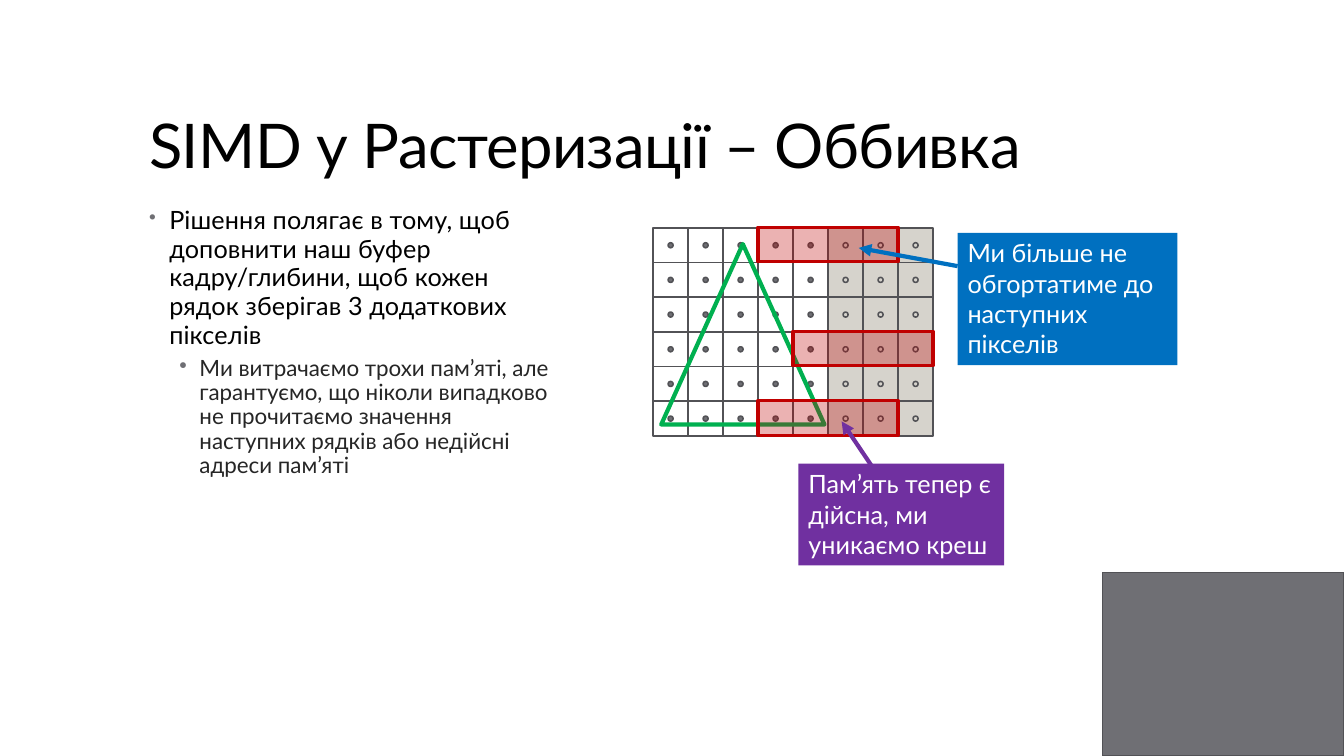
from collections import namedtuple
from dataclasses import dataclass

from lxml.etree import SubElement
from pptx import Presentation
from pptx.dml.color import RGBColor
from pptx.enum.shapes import MSO_CONNECTOR as Connector, MSO_SHAPE as Preset
from pptx.enum.text import MSO_ANCHOR as Anchor, PP_ALIGN as Align
from pptx.oxml.ns import qn
from pptx.util import Pt

Box = namedtuple("Box", "left top width height")


@dataclass(frozen=True)
class Theme:
    font: str = "Lato"
    title_size: float = 44
    body_size: float = 18
    detail_size: float = 16
    thin: float = 1.1
    medium: float = 2.25
    thick: float = 3
    black: str = "000000"
    detail: str = "262626"
    white: str = "FFFFFF"
    gray: str = "6F6F74"
    outline: str = "525256"
    padding: str = "D6D3CC"
    green: str = "00B050"
    red: str = "C00000"
    purple: str = "7030A0"
    blue: str = "0070C0"


THEME = Theme()


def color(value):
    return RGBColor.from_string(value)


def add_shape(slide, preset, box, fill=None, line=None, line_width=THEME.thin, alpha=None):
    shape = slide.shapes.add_shape(preset, *map(Pt, box))
    shape.shadow.inherit = False
    if fill:
        shape.fill.solid()
        shape.fill.fore_color.rgb = color(fill)
    else:
        shape.fill.background()
    if alpha:
        tint = shape.fill._xPr.find(".//" + qn("a:srgbClr"))
        SubElement(tint, qn("a:alpha")).set("val", str(alpha * 1000))
    if line:
        shape.line.color.rgb = color(line)
        shape.line.width = Pt(line_width)
    else:
        shape.line.fill.background()
    return shape


def format_runs(paragraph, size, ink, tracking=0):
    for run in paragraph.runs:
        run.font.name = THEME.font
        run.font.size = Pt(size)
        run.font.color.rgb = color(ink)
        run._r.get_or_add_rPr().set("spc", str(round(tracking * 100)))


def add_bullet(paragraph, indent, hanging, percent):
    properties = paragraph._p.get_or_add_pPr()
    properties.set("marL", str(Pt(indent)))
    properties.set("indent", str(Pt(-hanging)))
    bullet_color = SubElement(properties, qn("a:buClr"))
    SubElement(bullet_color, qn("a:srgbClr")).set("val", THEME.gray)
    SubElement(properties, qn("a:buSzPct")).set("val", str(percent * 1000))
    SubElement(properties, qn("a:buChar")).set("char", "•")


def add_title(slide, box, text):
    frame = slide.shapes.add_textbox(*map(Pt, box)).text_frame
    frame.word_wrap = True
    frame.vertical_anchor = Anchor.BOTTOM
    frame.text = text
    paragraph = frame.paragraphs[0]
    paragraph.line_spacing = 0.9
    format_runs(paragraph, THEME.title_size, THEME.black, -0.45)


def add_body(slide, box, solution, cost):
    frame = slide.shapes.add_textbox(*map(Pt, box)).text_frame
    frame.word_wrap = True
    frame.text = solution
    main_point = frame.paragraphs[0]
    add_bullet(main_point, 14.4, 14.4, 80)
    main_point.line_spacing = 0.95
    main_point.space_after = Pt(2)
    format_runs(main_point, THEME.body_size, THEME.black, 0.1)

    detail = frame.add_paragraph()
    detail.text = cost
    detail.level = 1
    add_bullet(detail, 36, 14.4, 100)
    detail.line_spacing = 0.9
    detail.space_before = detail.space_after = Pt(3)
    format_runs(detail, THEME.detail_size, THEME.detail)


def add_pixel_grid(slide, box, rows=6, columns=8, padding_columns=3):
    cell_width, cell_height = box.width / columns, box.height / rows
    dot = 3.6
    for row in range(rows):
        for column in range(columns):
            padded = column >= columns - padding_columns
            left = box.left + column * cell_width
            top = box.top + row * cell_height
            add_shape(slide, Preset.RECTANGLE, Box(left, top, cell_width, cell_height),
                      THEME.padding if padded else None, THEME.outline)
            dot_box = Box(left + (cell_width - dot) / 2, top + (cell_height - dot) / 2, dot, dot)
            add_shape(slide, Preset.OVAL, dot_box,
                      THEME.padding if padded else THEME.gray, THEME.outline)

    triangle = Box(box.left + 5.8, box.top + 11.5, 116.6, 128.9)
    add_shape(slide, Preset.ISOSCELES_TRIANGLE, triangle, line=THEME.green, line_width=THEME.thick)

    for row, first_column in ((0, 3), (5, 3), (3, 4)):
        lanes = Box(box.left + first_column * cell_width, box.top + row * cell_height - 0.5,
                    4 * cell_width, cell_height)
        add_shape(slide, Preset.RECTANGLE, lanes, THEME.red, THEME.red, THEME.medium, alpha=30)


def add_callout(slide, box, text, fill, start, end):
    frame = add_shape(slide, Preset.RECTANGLE, box, fill).text_frame
    frame.word_wrap = True
    frame.vertical_anchor = Anchor.TOP
    frame.text = text
    paragraph = frame.paragraphs[0]
    paragraph.alignment = Align.LEFT
    format_runs(paragraph, THEME.body_size, THEME.white)

    points = (box.left + start[0], box.top + start[1], box.left + end[0], box.top + end[1])
    arrow = slide.shapes.add_connector(Connector.STRAIGHT, *map(Pt, points))
    arrow.line.color.rgb = color(fill)
    arrow.line.width = Pt(THEME.thick)
    SubElement(arrow.line._get_or_add_ln(), qn("a:tailEnd")).set("type", "triangle")
    SubElement(arrow._element.spPr, qn("a:effectLst"))


def main():
    presentation = Presentation()
    presentation.slide_width, presentation.slide_height = Pt(960), Pt(540)
    slide = presentation.slides.add_slide(presentation.slide_layouts[6])
    add_shape(slide, Preset.RECTANGLE, Box(787.5, 409, 172.5, 131), THEME.gray, THEME.outline)
    add_title(slide, Box(99.4, 28.8, 763.2, 104.4), "SIMD у Растеризації – Оббивка")
    add_body(
        slide, Box(99.4, 144, 306, 342.7),
        "Рішення полягає в тому, щоб доповнити наш буфер кадру/глибини, "
        "щоб кожен рядок зберігав 3 додаткових пікселів",
        "Ми витрачаємо трохи пам’яті, але гарантуємо, що ніколи випадково "
        "не прочитаємо значення наступних рядків або недійсні адреси пам’яті",
    )
    add_pixel_grid(slide, Box(466.5, 162.8, 200, 148.6))
    add_callout(slide, Box(570.4, 331.2, 146.9, 72.7),
                "Пам’ять тепер є дійсна, ми уникаємо креш", THEME.purple,
                (53.1, 2.9), (30.8, -30.2))
    add_callout(slide, Box(684, 166.3, 157, 94.5),
                "Ми більше не обгортатиме до наступних пікселів", THEME.blue,
                (0, 23.8), (-70.6, 10.8))
    presentation.save("out.pptx")


if __name__ == "__main__":
    main()
